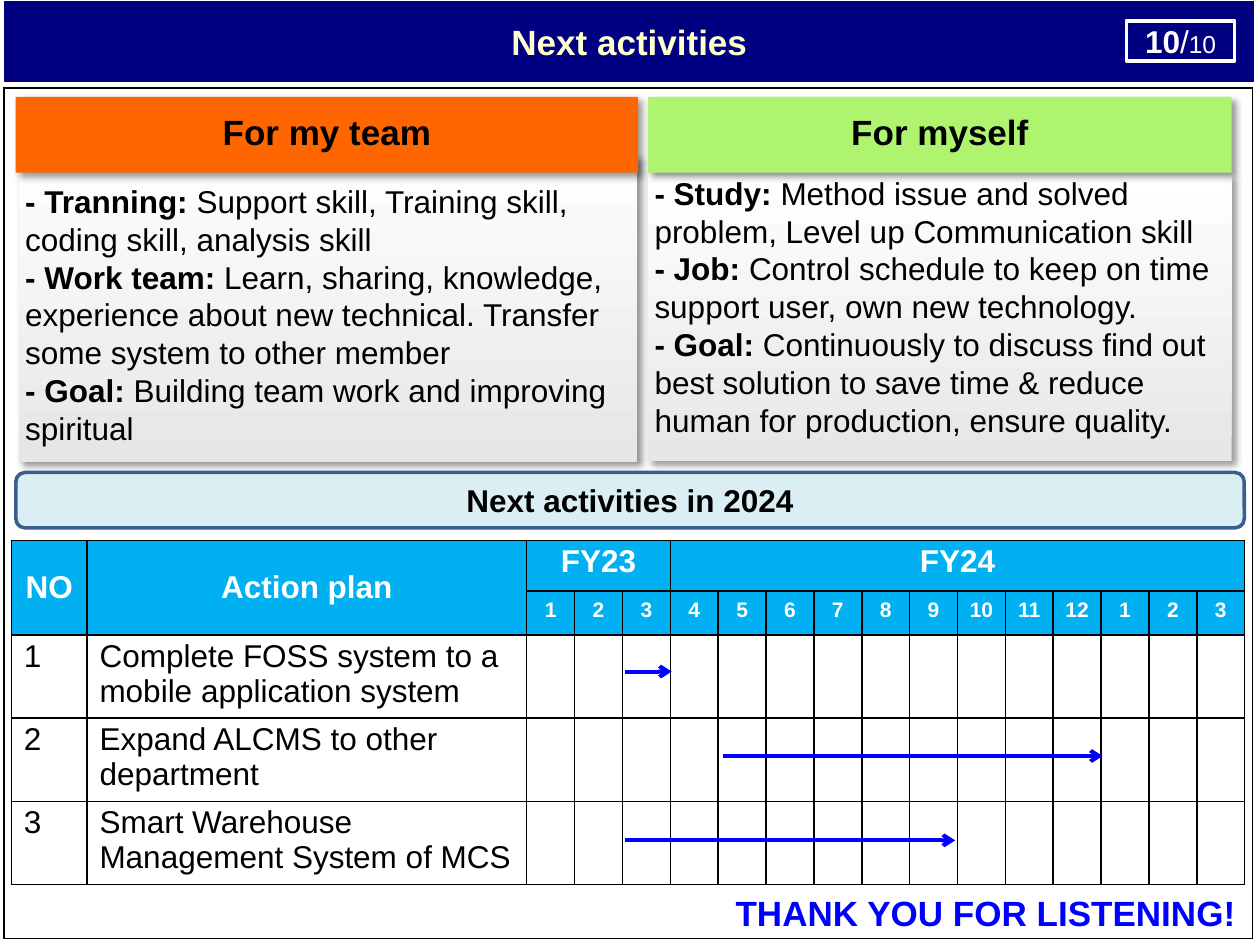
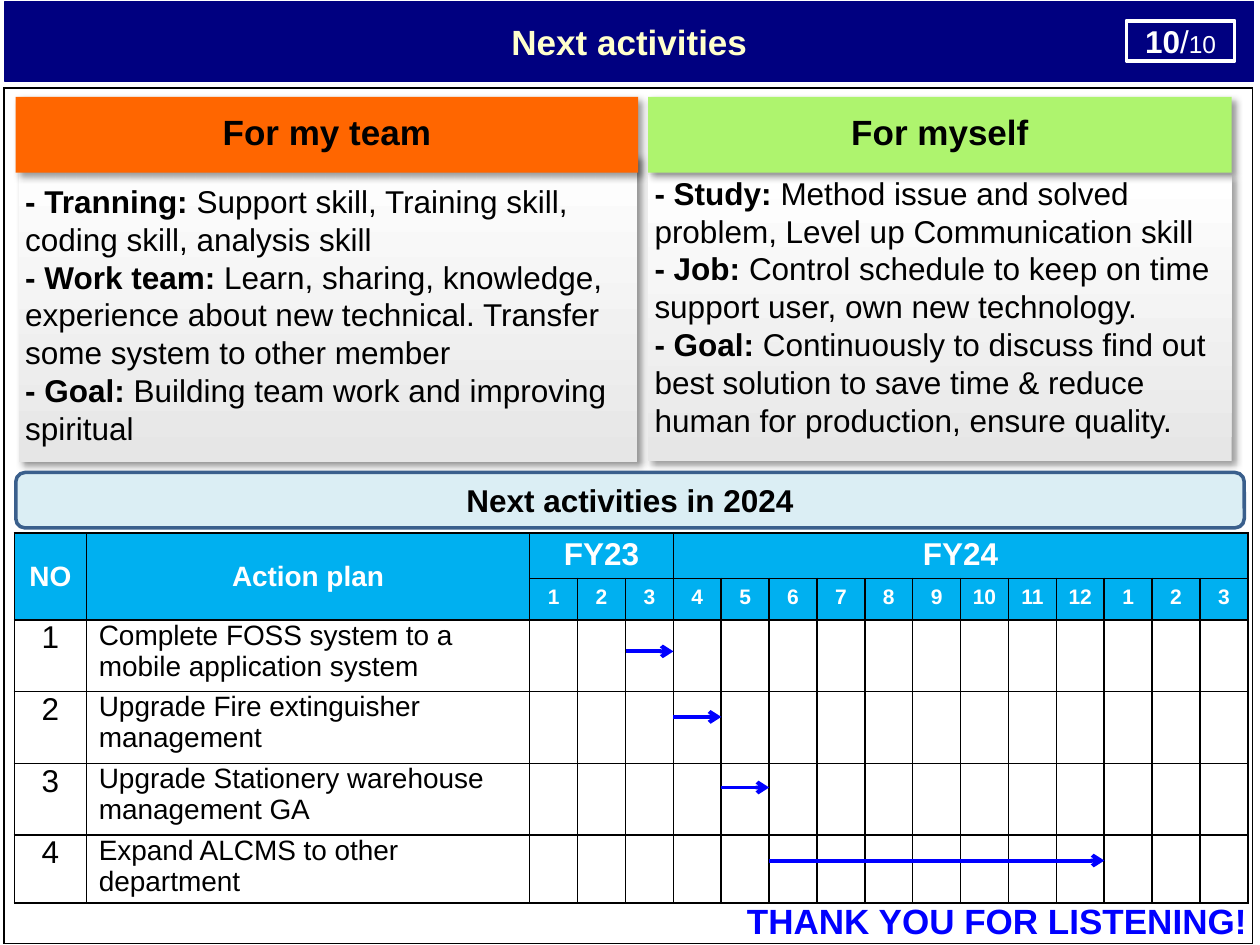
from dataclasses import dataclass
from itertools import accumulate

from lxml import etree
from pptx import Presentation
from pptx.dml.color import RGBColor
from pptx.enum.shapes import MSO_CONNECTOR, MSO_SHAPE
from pptx.enum.text import MSO_ANCHOR, MSO_AUTO_SIZE, PP_ALIGN
from pptx.oxml.ns import qn
from pptx.util import Inches, Pt

LEFT, CENTER = PP_ALIGN.LEFT, PP_ALIGN.CENTER
TOP, MIDDLE = MSO_ANCHOR.TOP, MSO_ANCHOR.MIDDLE
RECT, ROUNDED = MSO_SHAPE.RECTANGLE, MSO_SHAPE.ROUNDED_RECTANGLE
STRAIGHT = MSO_CONNECTOR.STRAIGHT
TITLE_ONLY = 5

# The slide is a grid of 100 columns by 75 rows
COLUMNS, ROWS = 100, 75
UNIT = Inches(10) // COLUMNS


@dataclass(frozen=True)
class Theme:
    font: str = "Arial"
    navy: str = "000080"
    cream: str = "FFFFCC"
    white: str = "FFFFFF"
    black: str = "000000"
    grey: str = "E6E6E6"
    orange: str = "FF6600"
    green: str = "AEF46E"
    pale_blue: str = "DBEEF4"
    steel: str = "3A5F8C"
    sky: str = "00B0F0"
    blue: str = "0000FF"
    heading: int = 20
    body: int = 18
    compact: int = 16
    total: int = 14
    month: int = 12


T = Theme()


@dataclass(frozen=True)
class Plan:
    """Schedule table; a task is (name, start month, end month, arrow drop)."""
    left: float
    top: float
    columns: tuple
    rows: tuple
    size: int
    number_align: object
    insets: tuple
    number_insets: tuple
    tasks: tuple


MONTH_WIDTH = 3.8
MONTHS = [*range(1, 13), 1, 2, 3]
YEARS = [("FY23", 3), ("FY24", 12)]
HEAD_INSETS = (1, 0.3, 1, 0.3)
MONTH_INSETS = (0, 0.6, 0, 0)
NO_INSETS = (0, 0, 0, 0)

TEAM = [
    ("- Tranning: ", "Support skill, Training skill, coding skill, analysis skill"),
    ("- Work team: ", "Learn, sharing, knowledge, experience about new technical. "
                      "Transfer some system to other member"),
    ("- Goal: ", "Building team work and improving spiritual"),
]
MYSELF = [
    ("- Study: ", "Method issue and solved problem, Level up Communication skill"),
    ("- Job: ", "Control schedule to keep on time support user, own new technology."),
    ("- Goal: ", "Continuously to discuss find out best solution to save time & "
                 "reduce human for production, ensure quality."),
]
FIRST_PLAN = Plan(
    left=0.9, top=42.9, columns=(6, 34.9), rows=(4, 3.5, 6.6, 6.6, 6.6),
    size=T.body, number_align=LEFT, insets=HEAD_INSETS,
    number_insets=HEAD_INSETS,
    tasks=(
        ("Complete FOSS system to a mobile application system", 2.05, 3.03, 2.9),
        ("Expand ALCMS to other department", 4.1, 12.03, 3),
        ("Smart Warehouse Management System of MCS", 2.05, 8.95, 3.1),
    ))
SECOND_PLAN = Plan(
    left=1.15, top=42.3, columns=(5.7, 35.2),
    rows=(3.6, 3.3, 5.7, 5.7, 5.7, 5.4),
    size=T.compact, number_align=CENTER, insets=(1, 0, 0, 0),
    number_insets=NO_INSETS,
    tasks=(
        ("Complete FOSS system to a mobile application system", 2, 3, 2.5),
        ("Upgrade Fire extinguisher management", 3, 4, 2),
        ("Upgrade Stationery warehouse management GA", 4, 5, 1.9),
        ("Expand ALCMS to other department", 5, 12, 2),
    ))


# Helpers
def units(*values):
    return [round(v * UNIT) for v in values]


def rgb(color):
    return RGBColor.from_string(color)


def style(r, size, color, bold=False):
    r.font.name, r.font.size, r.font.bold = T.font, Pt(size), bold
    r.font.color.rgb = rgb(color)


def set_text(tf, text, size, color, bold=True, align=CENTER):
    tf.text = text
    p = tf.paragraphs[0]
    p.alignment = align
    style(p.runs[0], size, color, bold)


def set_insets(holder, insets):
    (holder.margin_left, holder.margin_top,
     holder.margin_right, holder.margin_bottom) = units(*insets)


def set_frame(tf, insets=NO_INSETS, anchor=MIDDLE):
    tf.word_wrap, tf.auto_size, tf.vertical_anchor = True, MSO_AUTO_SIZE.NONE, anchor
    set_insets(tf, insets)


def add_box(s, box, fill=None, line=None, width=1, kind=RECT):
    sp = s.shapes.add_shape(kind, *units(*box))
    sp.shadow.inherit = False
    if fill:
        sp.fill.solid()
        sp.fill.fore_color.rgb = rgb(fill)
    else:
        sp.fill.background()
    if line:
        sp.line.color.rgb = rgb(line)
        sp.line.width = Pt(width)
    else:
        sp.line.fill.background()
    set_frame(sp.text_frame)
    return sp


def add_shadow(sp):
    effects = sp._element.spPr.find(qn("a:effectLst"))
    shadow = etree.SubElement(effects, qn("a:outerShdw"), blurRad=str(Pt(4)),
                              dist=str(Pt(3)), dir="2700000", rotWithShape="0")
    color = etree.SubElement(shadow, qn("a:srgbClr"), val=T.black)
    etree.SubElement(color, qn("a:alpha"), val="40000")


def add_grid(s, left, top, widths, heights):
    table = s.shapes.add_table(
        len(heights), len(widths),
        *units(left, top, sum(widths), sum(heights))).table
    table.first_row = table.horz_banding = False
    for column, width in zip(table.columns, units(*widths)):
        column.width = width
    for row, height in zip(table.rows, units(*heights)):
        row.height = height
    return table


def format_cell(cell, fill=None, sides="LRTB"):
    set_insets(cell, NO_INSETS)
    tcPr = cell._tc.get_or_add_tcPr()
    for side in "LRTB":
        ln = etree.SubElement(tcPr, qn("a:ln" + side), w=str(Pt(1)))
        if side in sides:
            solid = etree.SubElement(ln, qn("a:solidFill"))
            etree.SubElement(solid, qn("a:srgbClr"), val=T.black)
        else:
            etree.SubElement(ln, qn("a:noFill"))
    if fill:
        cell.fill.solid()
        cell.fill.fore_color.rgb = rgb(fill)
    else:
        cell.fill.background()


def fill_cell(cell, text, size, color=T.white, bold=True, align=CENTER,
              insets=HEAD_INSETS, anchor=TOP):
    set_insets(cell, insets)
    cell.vertical_anchor = anchor
    set_text(cell.text_frame, text, size, color, bold, align)


# Title band, page badge and two-column frame
def add_title(s, text):
    sp = s.shapes.title
    sp.left, sp.top, sp.width, sp.height = units(0.4, 0.1, 99.1, 6.35)
    sp.fill.solid()
    sp.fill.fore_color.rgb = rgb(T.navy)
    sp.line.color.rgb = rgb(T.navy)
    sp.line.width = Pt(0.75)
    set_frame(sp.text_frame)
    set_text(sp.text_frame, text, T.heading, T.cream)


def add_badge(s, page, total):
    sp = add_box(s, (89.4, 1.65, 8.6, 3.2), line=T.white, width=2)
    p = sp.text_frame.paragraphs[0]
    p.alignment = CENTER
    for text, size, bold in ((page, T.body, True), ("/", T.body, False),
                             (total, T.total, False)):
        r = p.add_run()
        r.text = text
        style(r, size, T.white, bold)


def add_page_frame(s, height):
    table = add_grid(s, 0.3, 7, (50.2, 48.9), (height,))
    for col, sides in enumerate(("LTB", "RTB")):
        format_cell(table.cell(0, col), sides=sides)


# Card: a gradient body below a coloured heading
def add_card(s, heading, color, head_box, body_box, insets, points):
    body = add_box(s, body_box, fill=T.white)
    body.fill.gradient()
    body.fill.gradient_angle = 90
    for stop, shade in zip(body.fill.gradient_stops, (T.grey, T.white)):
        stop.color.rgb = rgb(shade)
    add_shadow(body)
    tf = body.text_frame
    set_frame(tf, insets)
    for i, point in enumerate(points):
        p = tf.paragraphs[0] if i == 0 else tf.add_paragraph()
        p.alignment = LEFT
        for text, bold in zip(point, (True, False)):
            r = p.add_run()
            r.text = text
            style(r, T.body, T.black, bold)

    head = add_box(s, head_box, fill=color)
    add_shadow(head)
    set_frame(head.text_frame, (1, 0, 1, 0.5))
    set_text(head.text_frame, heading, T.heading, T.black)


def add_banner(s, text):
    sp = add_box(s, (1.25, 37.5, 97.5, 4.4), T.pale_blue, T.steel, 2, ROUNDED)
    set_text(sp.text_frame, text, T.body, T.black)


# Schedule table
def add_plan(s, plan):
    widths = [*plan.columns, *[MONTH_WIDTH] * len(MONTHS)]
    table = add_grid(s, plan.left, plan.top, widths, plan.rows)
    for i, row in enumerate(table.rows):
        for cell in row.cells:
            format_cell(cell, T.sky if i < 2 else None)

    # Headings: two tall cells, then years over months
    for col, text in enumerate(("NO", "Action plan")):
        table.cell(0, col).merge(table.cell(1, col))
        fill_cell(table.cell(0, col), text, plan.size, anchor=MIDDLE)
    col = 2
    for year, span in YEARS:
        table.cell(0, col).merge(table.cell(0, col + span - 1))
        fill_cell(table.cell(0, col), year, T.body)
        col += span
    for col, month in enumerate(MONTHS, 2):
        fill_cell(table.cell(1, col), str(month), T.month, insets=MONTH_INSETS)

    # Tasks, each with its arrow
    tops = list(accumulate(plan.rows, initial=plan.top))
    first_month = plan.left + sum(plan.columns)
    for i, (name, start, end, drop) in enumerate(plan.tasks, 2):
        fill_cell(table.cell(i, 0), str(i - 1), T.body, T.black, False,
                  plan.number_align, plan.number_insets)
        fill_cell(table.cell(i, 1), name, plan.size, T.black, False,
                  LEFT, plan.insets)
        add_arrow(s, first_month + start * MONTH_WIDTH,
                  first_month + end * MONTH_WIDTH, tops[i] + drop)


def add_arrow(s, start, end, y):
    line = s.shapes.add_connector(STRAIGHT, *units(start, y, end, y))
    line.line.color.rgb = rgb(T.blue)
    line.line.width = Pt(2.25)
    etree.SubElement(line.line._get_or_add_ln(), qn("a:tailEnd"), type="arrow")
    etree.SubElement(line._element.spPr, qn("a:effectLst"))


def add_thanks(s, left, top):
    tf = s.shapes.add_textbox(*units(left, top, 42, 4.4)).text_frame
    set_frame(tf, (1, 0.5, 1, 0.5), TOP)
    set_text(tf, "THANK YOU FOR LISTENING!", T.heading, T.blue, align=LEFT)


def add_activities(prs, plan, frame_height, thanks_at):
    s = prs.slides.add_slide(prs.slide_layouts[TITLE_ONLY])
    add_title(s, "Next activities")
    add_badge(s, "10", "10")
    add_page_frame(s, frame_height)
    add_thanks(s, *thanks_at)
    add_card(s, "For my team", T.orange, (1.25, 7.7, 49.4, 6),
             (1.5, 12.3, 49.1, 24.4), (0.5, 0.9, 0.5, 0), TEAM)
    add_card(s, "For myself", T.green, (51.45, 7.7, 46.3, 6),
             (51.45, 13.9, 46.3, 22.7), (0.5, 0, 0.5, 1.9), MYSELF)
    add_banner(s, "Next activities in 2024")
    add_plan(s, plan)


def main():
    prs = Presentation()
    prs.slide_width, prs.slide_height = COLUMNS * UNIT, ROWS * UNIT
    add_activities(prs, FIRST_PLAN, 67.5, (57.4, 70.3))
    add_activities(prs, SECOND_PLAN, 67.9, (58.3, 70.9))
    prs.save("out.pptx")


if __name__ == "__main__":
    main()
